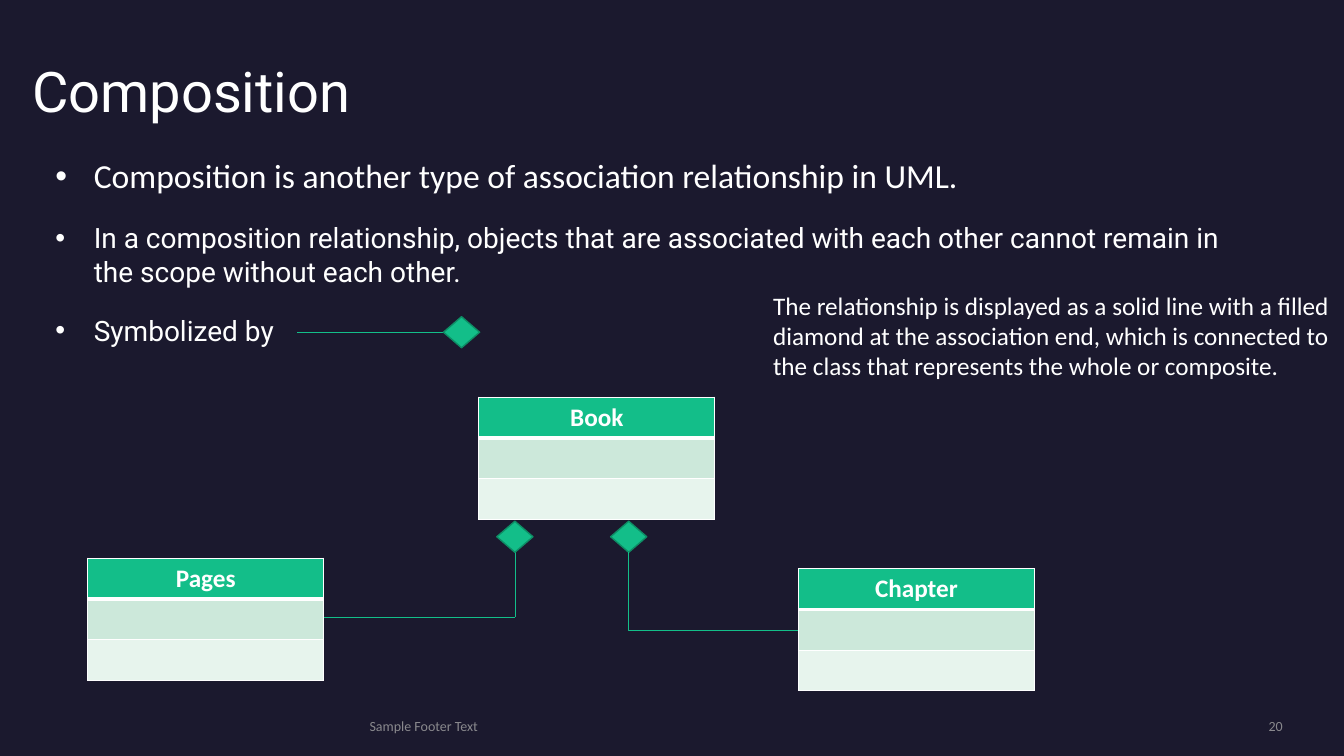
from lxml.etree import SubElement
from pptx import Presentation
from pptx.dml.color import RGBColor as Rgb
from pptx.enum.shapes import MSO_CONNECTOR as Link, MSO_SHAPE as Preset
from pptx.enum.text import MSO_ANCHOR as Anchor, PP_ALIGN as Align
from pptx.oxml import parse_xml
from pptx.oxml.ns import nsdecls, qn
from pptx.util import Inches, Pt

COLUMNS, ROWS = 32, 18
COLORS = {
    "night": "1B192E", "white": "FFFFFF", "muted": "A6A6A6", "green": "13BE89",
    "edge": "0E8D65", "mint": "CCE8DA", "pale": "E7F4ED",
}
CLASS_WIDTH, CLASS_ROW = 5.62, 0.97
DIAMOND_WIDTH, DIAMOND_HEIGHT = 0.86, 0.74
NO_INSETS = dict.fromkeys(
    ("margin_left", "margin_top", "margin_right", "margin_bottom"), 0)


def apply(target, values):
    """Set every attribute named in values on target."""
    for name, value in values.items():
        setattr(target, name, value)


class Diagram:
    """Hold the style and the current slide, measured in grid cells."""

    def __init__(self, deck):
        """Add a blank slide with the dark background."""
        self.cell_width = deck.slide_width / COLUMNS
        self.cell_height = deck.slide_height / ROWS
        self.slide = deck.slides.add_slide(deck.slide_layouts[6])
        self.paint(self.slide.background.fill, "night")

    def paint(self, fill, color):
        """Make a fill solid in a named color."""
        fill.solid()
        fill.fore_color.rgb = Rgb.from_string(COLORS[color])

    def grid(self, *cells):
        """Turn alternating columns and rows into slide lengths."""
        units = (self.cell_width, self.cell_height)
        return [round(cell * units[i % 2]) for i, cell in enumerate(cells)]

    def wording(self, paragraph, words, size, font="Calibri", color="white",
                bold=False, opacity=None):
        """Add one styled run to a paragraph."""
        run = paragraph.add_run()
        run.text = words
        apply(run.font, {"size": Pt(size), "name": font, "bold": bold})
        self.paint(run.font.fill, color)
        if opacity:
            tint = run._r.rPr.find(qn("a:solidFill"))[0]
            SubElement(tint, qn("a:alpha")).set("val", str(opacity * 1000))

    def text(self, place, lines, frame_format, align=Align.LEFT, bullet=False):
        """Add a text box with one styled paragraph per line."""
        frame = self.slide.shapes.add_textbox(*self.grid(*place)).text_frame
        apply(frame, {"word_wrap": True, **frame_format})
        for index, (words, style) in enumerate(lines):
            paragraph = frame.add_paragraph() if index else frame.paragraphs[0]
            paragraph.alignment = align
            self.wording(paragraph, words, **style)
            if bullet:
                self.bullet(paragraph)

    def bullet(self, paragraph):
        """Give a paragraph a hanging bullet and its spacing."""
        apply(paragraph, {"space_before": Pt(10), "space_after": Pt(8)})
        properties = paragraph._p.get_or_add_pPr()
        indent = Inches(0.38)
        properties.set("marL", str(indent))
        properties.set("indent", str(-indent))
        SubElement(properties, qn("a:buFont")).set("typeface", "Arial")
        SubElement(properties, qn("a:buChar")).set("char", "•")

    def class_box(self, name, left, top):
        """Add a UML class as a table: name, attributes, operations."""
        place = self.grid(left, top, CLASS_WIDTH, 3 * CLASS_ROW)
        table = self.slide.shapes.add_table(3, 1, *place).table
        for index, color in enumerate(("green", "mint", "pale")):
            table.rows[index].height = self.grid(0, CLASS_ROW)[1]
            cell = table.cell(index, 0)
            self.paint(cell.fill, color)
            self.borders(cell, top=3 if index == 1 else 1,
                         bottom=1 if index else 3)
        title = table.cell(0, 0).text_frame.paragraphs[0]
        title.alignment = Align.CENTER
        self.wording(title, name, 18, bold=True)

    def borders(self, cell, top, bottom):
        """Draw white borders, with given top and bottom weights."""
        sides = {"L": 1, "R": 1, "T": top, "B": bottom}
        for index, (side, weight) in enumerate(sides.items()):
            cell._tc.get_or_add_tcPr().insert(index, parse_xml(
                f'<a:ln{side} {nsdecls("a")} w="{Pt(weight)}"><a:solidFill>'
                f'<a:srgbClr val="{COLORS["white"]}"/></a:solidFill></a:ln{side}>'))

    def diamond(self, left, top):
        """Add the filled composition diamond."""
        shape = self.slide.shapes.add_shape(
            Preset.DIAMOND, *self.grid(left, top, DIAMOND_WIDTH, DIAMOND_HEIGHT))
        shape.shadow.inherit = False
        self.paint(shape.fill, "green")
        self.paint(shape.line.fill, "edge")
        shape.line.width = Pt(1)

    def line(self, *ends, kind=Link.STRAIGHT):
        """Add a thin green connector between two grid points."""
        link = self.slide.shapes.add_connector(kind, *self.grid(*ends))
        self.paint(link.line.fill, "green")
        link.line.width = Pt(0.5)
        SubElement(link._element.spPr, qn("a:effectLst"))
        return link

    def elbow(self, *ends):
        """Add a connector that runs down, then right, with one bend."""
        link = self.line(*ends, kind=Link.ELBOW)
        across, down = link.width, link.height
        shift = (across - down) // 2
        apply(link, {"left": link.left + shift, "top": link.top - shift,
                     "width": down, "height": across})
        properties = link._element.spPr
        properties.find(qn("a:prstGeom")).set("prst", "bentConnector2")
        frame = properties.find(qn("a:xfrm"))
        frame.set("rot", str(270 * 60000))
        frame.set("flipH", "1")


deck = Presentation()
apply(deck, {"slide_width": Inches(13.33), "slide_height": Inches(7.5)})
diagram = Diagram(deck)

middle = {**NO_INSETS, "vertical_anchor": Anchor.MIDDLE}
footer = {"size": 10, "color": "muted", "opacity": 80}
diagram.text((8.8, 17.08, 16.75, 0.4), [("Sample Footer Text", footer)], middle)
diagram.text((26.1, 17.08, 4.44, 0.4), [("20", footer)], middle, Align.RIGHT)
diagram.text((0.77, 1.03, 18.46, 1.92),
             [("Composition", {"size": 40, "font": "Roboto"})],
             {**NO_INSETS, "vertical_anchor": Anchor.BOTTOM})

point = {"size": 20, "font": "Roboto"}
diagram.text((1.32, 3.7, 28.68, 7.54), [
    ("Composition is another type of association relationship in UML.",
     {"size": 24}),
    ("In a composition relationship, objects that are associated with each "
     "other cannot remain in the scope without each other.", point),
    ("Symbolized by", point),
], NO_INSETS, bullet=True)

pages_left, chapter_left = 2.09, 19.01
for name, left, top in (("Pages", pages_left, 13.29), ("Book", 11.4, 9.46),
                        ("Chapter", chapter_left, 13.54)):
    diagram.class_box(name, left, top)

pages_link, chapter_link = 12.26, 14.97
pages_level, diamond_tip = 14.69, 13.15
diagram.line(pages_left + CLASS_WIDTH, pages_level, pages_link, pages_level)
diagram.line(pages_link, pages_level, pages_link, diamond_tip)
for link_column in (pages_link, chapter_link):
    diagram.diamond(link_column - DIAMOND_WIDTH / 2, diamond_tip - DIAMOND_HEIGHT)
diagram.elbow(chapter_link, diamond_tip, chapter_left, 15)

symbol_left, symbol_level = 10.56, 7.91
diagram.line(7.08, symbol_level, symbol_left, symbol_level)
diagram.diamond(symbol_left, symbol_level - DIAMOND_HEIGHT / 2)

diagram.text((18.17, 6.79, 13.82, 2.42), [
    ("The relationship is displayed as a solid line with a filled diamond at "
     "the association end, which is connected to the class that represents "
     "the whole or composite.", {"size": 18})], {})

deck.save("out.pptx")
